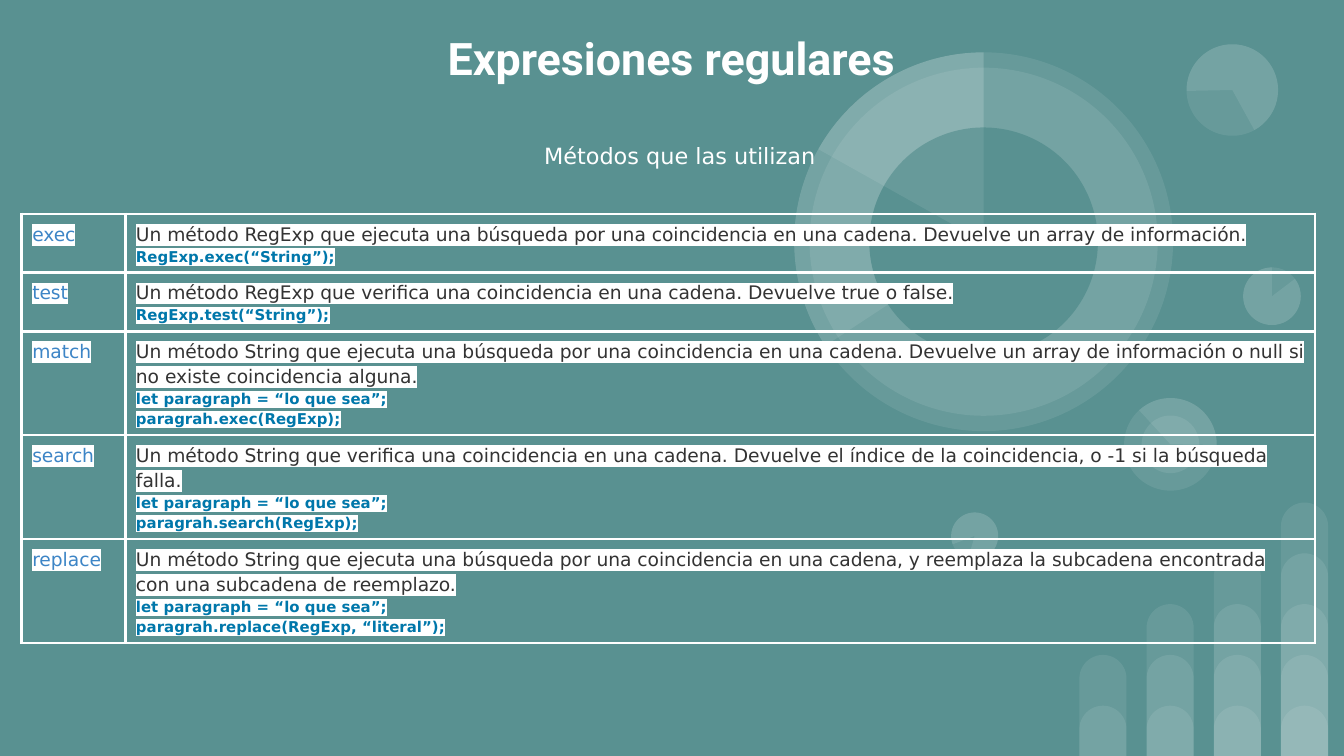
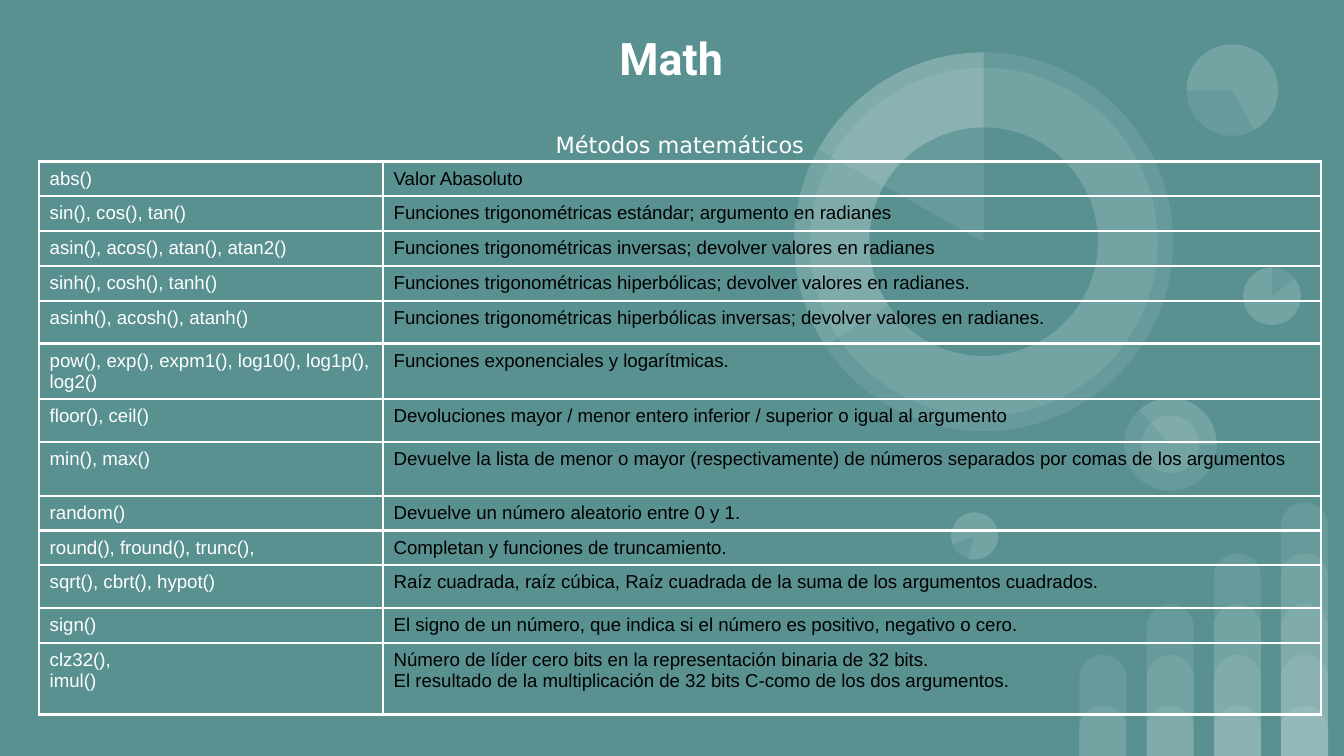
"""Build two slides on JavaScript methods: regular expressions and Math."""
from dataclasses import dataclass

from lxml import etree
from pptx import Presentation
from pptx import util as u
from pptx.dml.color import RGBColor
from pptx.enum import shapes, text
from pptx.oxml import parse_xml
from pptx.oxml.ns import nsdecls, qn


@dataclass(frozen=True)
class Theme:
    background: str = "599191"
    light: str = "FFFFFF"
    glass_alpha: int = 9000
    border_points: float = 1.47
    title: tuple = ("Roboto", 24, "FFFFFF", True)
    subtitle: tuple = ("DejaVu Sans", 12, "FFFFFF", False)
    method: tuple = ("DejaVu Sans", 10, "3D85C6", False)
    description: tuple = ("DejaVu Sans", 10, "333333", False)
    code: tuple = ("DejaVu Sans", 8, "0077AA", True)
    function: tuple = ("Arial", 10, "FFFFFF", False)
    meaning: tuple = ("Arial", 10, "000000", False)


theme = Theme()

regexp_rows = [
    ("exec", "Un método RegExp que ejecuta una búsqueda por una coincidencia en una cadena. "
     "Devuelve un array de información.\nRegExp.exec(“String”);"),
    ("test", "Un método RegExp que verifica una coincidencia en una cadena. "
     "Devuelve true o false.\nRegExp.test(“String”);"),
    ("match", "Un método String que ejecuta una búsqueda por una coincidencia en una cadena. "
     "Devuelve un array de información o null si no existe coincidencia alguna.\n"
     "let paragraph = “lo que sea”;\nparagrah.exec(RegExp);"),
    ("search", "Un método String que verifica una coincidencia en una cadena. "
     "Devuelve el índice de la coincidencia, o -1 si la búsqueda falla.\n"
     "let paragraph = “lo que sea”;\nparagrah.search(RegExp);"),
    ("replace", "Un método String que ejecuta una búsqueda por una coincidencia en una cadena, "
     "y reemplaza la subcadena encontrada con una subcadena de reemplazo.\n"
     "let paragraph = “lo que sea”;\nparagrah.replace(RegExp, “literal”);"),
]
math_rows = [
    ("abs()", "Valor Abasoluto"),
    ("sin(), cos(), tan()", "Funciones trigonométricas estándar; argumento en radianes"),
    ("asin(), acos(), atan(), atan2()",
     "Funciones trigonométricas inversas; devolver valores en radianes"),
    ("sinh(), cosh(), tanh()",
     "Funciones trigonométricas hiperbólicas; devolver valores en radianes."),
    ("asinh(), acosh(), atanh()",
     "Funciones trigonométricas hiperbólicas inversas; devolver valores en radianes."),
    ("pow(), exp(), expm1(), log10(), log1p(), log2()",
     "Funciones exponenciales y logarítmicas."),
    ("floor(), ceil()",
     "Devoluciones mayor / menor entero inferior / superior o igual al argumento"),
    ("min(), max()", "Devuelve la lista de menor o mayor (respectivamente) de números "
     "separados por comas de los argumentos"),
    ("random()", "Devuelve un número aleatorio entre 0 y 1."),
    ("round(), fround(), trunc(),", "Completan y funciones de truncamiento."),
    ("sqrt(), cbrt(), hypot()",
     "Raíz cuadrada, raíz cúbica, Raíz cuadrada de la suma de los argumentos cuadrados."),
    ("sign()", "El signo de un número, que indica si el número es positivo, negativo o cero."),
    ("clz32(),\nimul()", "Número de líder cero bits en la representación binaria de 32 bits.\n"
     "El resultado de la multiplicación de 32 bits C-como de los dos argumentos."),
]
pages = [
    dict(title="Expresiones regulares", subtitle="Métodos que las utilizan", subtitle_top=2.21,
         left=0.41, top=4.04, columns=(1.96, 22.48), heights=(0.89, 0.89, 1.42, 1.42, 1.42),
         rows=regexp_rows, spacing=1.15, highlight=True,
         styles=((theme.method, theme.method), (theme.description, theme.code))),
    dict(title="Math", subtitle="Métodos matemáticos", subtitle_top=2.01,
         left=0.74, top=3.05, columns=(6.5, 17.73),
         heights=(0.36, 0.66, 0.66, 0.66, 0.81, 0.69, 0.81, 1.02, 0.48, 0.48, 0.81, 0.66, 1.35),
         rows=math_rows, spacing=1, highlight=False,
         styles=((theme.function, theme.function), (theme.meaning, theme.meaning))),
]


def write(paragraph, line, style):
    """Add one line of text in a theme style and return its run."""
    run = paragraph.add_run()
    run.text = line
    font = paragraph.font
    font.name, size, color, font.bold = style
    font.size = u.Pt(size)
    font.color.rgb = RGBColor.from_string(color)
    return run


def add_backdrop(slide, kind, box, color=theme.light, rotation=0, adjustments=()):
    """Draw a borderless shape and hand it to the slide's layout."""
    shape = slide.shapes.add_shape(kind, *map(u.Cm, box))
    shape.shadow.inherit = False
    shape.rotation = rotation
    for index, value in enumerate(adjustments):
        shape.adjustments[index] = value
    shape.line.fill.background()
    shape.fill.solid()
    shape.fill.fore_color.rgb = RGBColor.from_string(color)
    if color == theme.light:
        color_element = shape.element.spPr.find(".//" + qn("a:srgbClr"))
        etree.SubElement(color_element, qn("a:alpha"), val=str(theme.glass_alpha))
    slide.slide_layout.shapes.element.append(shape.element)


presentation = Presentation()
presentation.slide_width = u.Cm(25.4)
presentation.slide_height = u.Cm(14.29)
layout = presentation.slide_layouts[5]
layout.background.fill.solid()
layout.background.fill.fore_color.rgb = RGBColor.from_string(theme.background)
for placeholder in list(layout.placeholders):
    if placeholder.placeholder_format.type != shapes.PP_PLACEHOLDER.TITLE:
        layout.shapes.element.remove(placeholder.element)

slides = [presentation.slides.add_slide(layout) for page in pages]

for column in range(4):
    for level in range(column + 2):
        height = 0.95 + 0.96 * level
        add_backdrop(slides[0], shapes.MSO_SHAPE.ROUND_2_SAME_RECTANGLE,
                     (20.4 + 1.27 * column, 14.29 - height, 0.89, height), adjustments=(0.5, 0))

ring, timer, dot, target, clock = (18.59, 4.57), (24.04, 5.6), (18.42, 10.13), (22.12, 8.4), (23.29, 1.7)
disks = [
    (timer, 1.09, 0, None, theme.light),
    (dot, 0.89, 196.2, None, theme.light),
    (target, 1.75, 90, None, theme.light),
    (target, 1.75, 90, (137.41, 270.77), theme.light),
    (target, 1.09, 90, None, theme.light),
    (timer, 1.09, 0, (322.95, 270), theme.light),
    (clock, 1.73, 215.9, None, theme.light),
    (clock, 1.73, 215.9, (322.95, 205.23), theme.light),
    (ring, 7.16, 0, None, theme.light),
    (ring, 6.58, 34.1, None, theme.light),
    (ring, 7.16, 0, (146.69, 270), theme.light),
    (ring, 4.32, 34.1, None, theme.background),
    (ring, 7.16, 0, (209.24, 270), theme.light),
    (dot, 0.89, 196.2, (322.95, 270), theme.light),
]
for (center_x, center_y), diameter, rotation, angles, color in disks:
    kind = shapes.MSO_SHAPE.PIE if angles else shapes.MSO_SHAPE.OVAL
    add_backdrop(slides[0], kind,
                 (center_x - diameter / 2, center_y - diameter / 2, diameter, diameter),
                 color, rotation, [angle * 0.6 for angle in angles or ()])

for slide, page in zip(slides, pages):
    title = slide.shapes.title
    title.left, title.top, title.width, title.height = map(u.Cm, (1.85, 0.56, 21.67, 1.07))
    subtitle = slide.shapes.add_textbox(*map(u.Cm, (3.25, page["subtitle_top"], 19.2, 1.37)))
    for shape, line, style in ((title, page["title"], theme.title),
                               (subtitle, page["subtitle"], theme.subtitle)):
        frame = shape.text_frame
        frame.word_wrap = True
        frame.auto_size = text.MSO_AUTO_SIZE.NONE
        frame.vertical_anchor = text.MSO_ANCHOR.MIDDLE
        frame.margin_left = frame.margin_right = frame.margin_top = frame.margin_bottom = u.Cm(0.25)
        frame.paragraphs[0].alignment = text.PP_ALIGN.CENTER
        write(frame.paragraphs[0], line, style)
    subtitle.text_frame.paragraphs[0].line_spacing = 1.15
    subtitle.text_frame.paragraphs[0].space_after = u.Pt(23)

    table = slide.shapes.add_table(
        len(page["rows"]), 2, u.Cm(page["left"]), u.Cm(page["top"]),
        u.Cm(sum(page["columns"])), u.Cm(sum(page["heights"]))).table
    table.first_row = table.horz_banding = False
    for column, width in zip(table.columns, page["columns"]):
        column.width = u.Cm(width)
    for row, height, contents in zip(table.rows, page["heights"], page["rows"]):
        row.height = u.Cm(height)
        for cell, content, (first_style, next_style) in zip(row.cells, contents, page["styles"]):
            cell.margin_left = cell.margin_right = u.Cm(0.2)
            cell.margin_top = cell.margin_bottom = u.Cm(0.13)
            cell.fill.background()
            for index, side in enumerate(("lnL", "lnR", "lnT", "lnB")):
                cell._tc.tcPr.insert(index, parse_xml(
                    f'<a:{side} {nsdecls("a")} w="{u.Pt(theme.border_points)}"><a:solidFill>'
                    f'<a:srgbClr val="{theme.light}"/></a:solidFill></a:{side}>'))
            for index, line in enumerate(content.split("\n")):
                frame = cell.text_frame
                paragraph = frame.add_paragraph() if index else frame.paragraphs[0]
                paragraph.line_spacing = page["spacing"]
                run = write(paragraph, line, next_style if index else first_style)
                if page["highlight"]:
                    run.font._element.append(parse_xml(
                        f'<a:highlight {nsdecls("a")}><a:srgbClr val="{theme.light}"/></a:highlight>'))

presentation.save("out.pptx")
